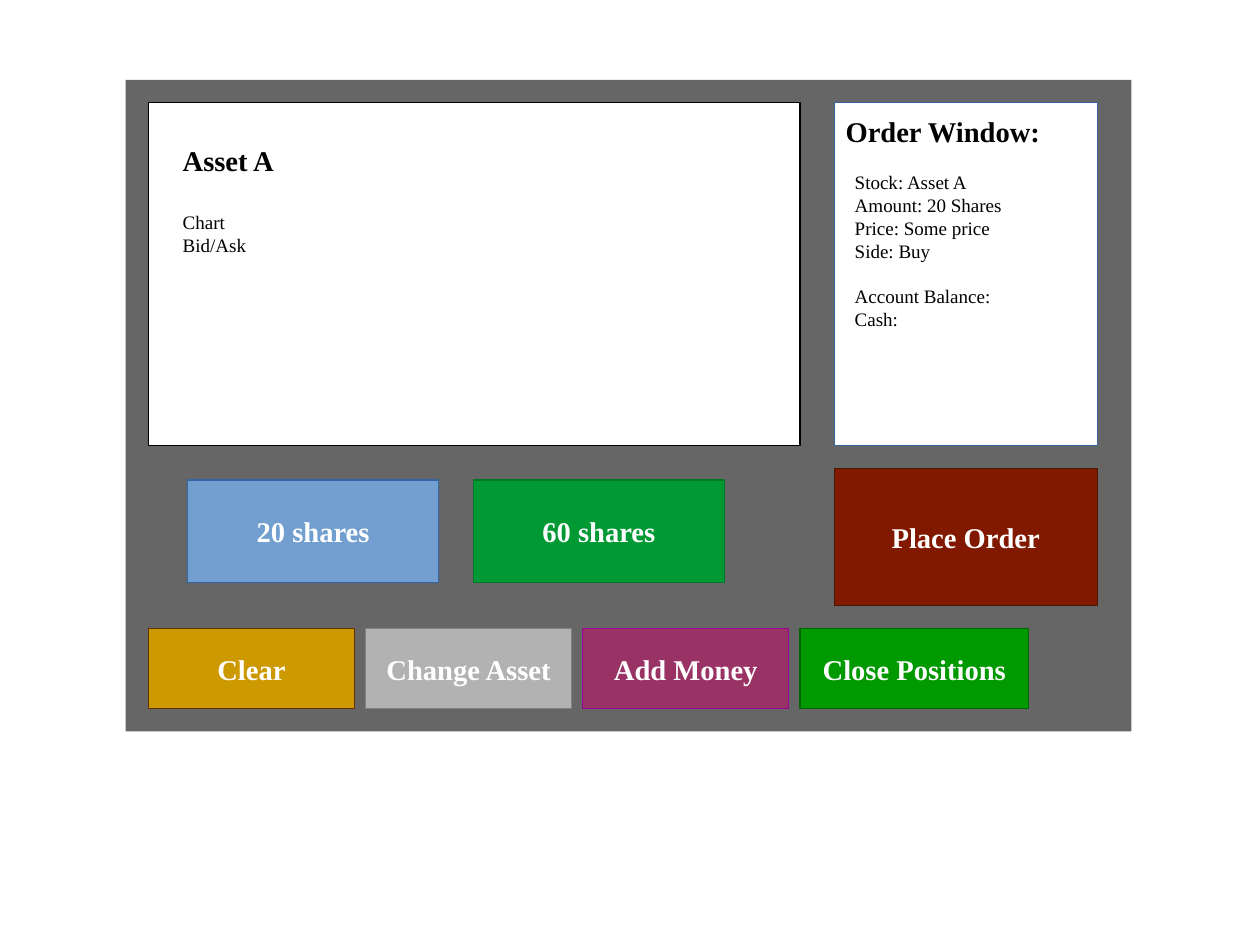
from pptx import Presentation
from pptx.dml.color import RGBColor
from pptx.enum.shapes import MSO_SHAPE
from pptx.enum.text import MSO_ANCHOR, PP_ALIGN
from pptx.util import Cm, Inches, Pt

RECT = MSO_SHAPE.RECTANGLE
TOP, MIDDLE = MSO_ANCHOR.TOP, MSO_ANCHOR.MIDDLE
LEFT, CENTER = PP_ALIGN.LEFT, PP_ALIGN.CENTER

FONT = "Times New Roman"
BLACK = RGBColor(0x00, 0x00, 0x00)
WHITE = RGBColor(0xFF, 0xFF, 0xFF)
DARK_GRAY = RGBColor(0x66, 0x66, 0x66)
BLUE = RGBColor(0x72, 0x9F, 0xCF)
BLUE_EDGE = RGBColor(0x34, 0x65, 0xA4)
GREEN = RGBColor(0x00, 0x99, 0x33)
GREEN_EDGE = RGBColor(0x00, 0x78, 0x26)
RED = RGBColor(0x80, 0x19, 0x00)
RED_EDGE = RGBColor(0x46, 0x19, 0x00)
GOLD = RGBColor(0xCC, 0x99, 0x00)
GOLD_EDGE = RGBColor(0x66, 0x33, 0x00)
GRAY = RGBColor(0xB2, 0xB2, 0xB2)
GRAY_EDGE = RGBColor(0x80, 0x80, 0x80)
PLUM = RGBColor(0x99, 0x33, 0x66)
PLUM_EDGE = RGBColor(0x99, 0x00, 0x99)
BRIGHT_GREEN = RGBColor(0x00, 0x99, 0x00)
BRIGHT_GREEN_EDGE = RGBColor(0x00, 0x66, 0x00)


def add_box(s, x, y, w, h, fill, edge):
    sp = s.shapes.add_shape(RECT, Inches(x), Inches(y), Inches(w), Inches(h))
    sp.shadow.inherit = False
    sp.fill.solid()
    sp.fill.fore_color.rgb = fill
    sp.line.color.rgb = edge
    sp.line.width = Pt(0)
    return sp


def set_frame(tf, anchor, top):
    tf.word_wrap = False
    tf.vertical_anchor = anchor
    tf.margin_left = tf.margin_right = Inches(0.1)
    tf.margin_top = Inches(top)
    tf.margin_bottom = Inches(0.05)


def format_paragraph(p, size, bold, color, align):
    p.alignment = align
    for r in p.runs:
        r.font.name = FONT
        r.font.size = Pt(size)
        r.font.bold = bold
        r.font.color.rgb = color


def add_button(s, x, y, w, h, label, fill, edge):
    tf = add_box(s, x, y, w, h, fill, edge).text_frame
    set_frame(tf, MIDDLE, 0.05)
    tf.text = label
    format_paragraph(tf.paragraphs[0], 18, True, WHITE, CENTER)


def write_details(tf, heading, groups, top, gap, indent):
    set_frame(tf, TOP, top)
    tf.text = heading
    format_paragraph(tf.paragraphs[0], 18, True, BLACK, LEFT)
    for group in groups:
        for i, line in enumerate(group):
            p = tf.add_paragraph()
            p.text = line
            format_paragraph(p, 12, False, BLACK, LEFT)
            p.space_before = Pt(0 if i else gap)
            p._p.get_or_add_pPr().set("marL", str(Inches(indent)))


def add_asset_panel(s, x, y, w, h):
    add_box(s, x, y, w, h, WHITE, BLACK)
    tb = s.shapes.add_textbox(Inches(x + 0.2), Inches(y + 0.3), Inches(3.5), Inches(1.03))
    write_details(tb.text_frame, "Asset A", [["Chart", "Bid/Ask"]], 0.05, 21, 0)


def add_order_window(s, x, y, w, h):
    sp = add_box(s, x, y, w, h, WHITE, BLUE_EDGE)
    order = ["Stock: Asset A", "Amount: 20 Shares", "Price: Some price", "Side: Buy"]
    account = ["Account Balance:", "Cash:"]
    write_details(sp.text_frame, "Order Window:", [order, account], 0.1, 14, 0.08)


def add_share_buttons(s, x, y):
    buttons = [("20 shares", BLUE, BLUE_EDGE), ("60 shares", GREEN, GREEN_EDGE)]
    for i, button in enumerate(buttons):
        add_button(s, x + 2.5 * i, y, 2.2, 0.9, *button)


def add_action_row(s, x, y):
    actions = [
        (1.8, "Clear", GOLD, GOLD_EDGE),
        (1.8, "Change Asset", GRAY, GRAY_EDGE),
        (1.8, "Add Money", PLUM, PLUM_EDGE),
        (2, "Close Positions", BRIGHT_GREEN, BRIGHT_GREEN_EDGE),
    ]
    for i, (w, label, fill, edge) in enumerate(actions):
        add_button(s, x + 1.9 * i, y, w, 0.7, label, fill, edge)


def add_trading_screen(s, x, y, w, h):
    add_box(s, x, y, w, h, DARK_GRAY, BLUE_EDGE).line.fill.background()
    add_asset_panel(s, x + 0.2, y + 0.2, 5.7, 3)
    add_share_buttons(s, x + 0.54, y + 3.5)
    add_order_window(s, x + 6.2, y + 0.2, 2.3, 3)
    add_button(s, x + 6.2, y + 3.4, 2.3, 1.2, "Place Order", RED, RED_EDGE)
    add_action_row(s, x + 0.2, y + 4.8)


def main():
    prs = Presentation()
    prs.slide_width, prs.slide_height = Cm(28), Cm(21)
    s = prs.slides.add_slide(prs.slide_layouts[6])
    add_trading_screen(s, 1.1, 0.7, 8.8, 5.7)
    prs.save("out.pptx")


if __name__ == "__main__":
    main()
